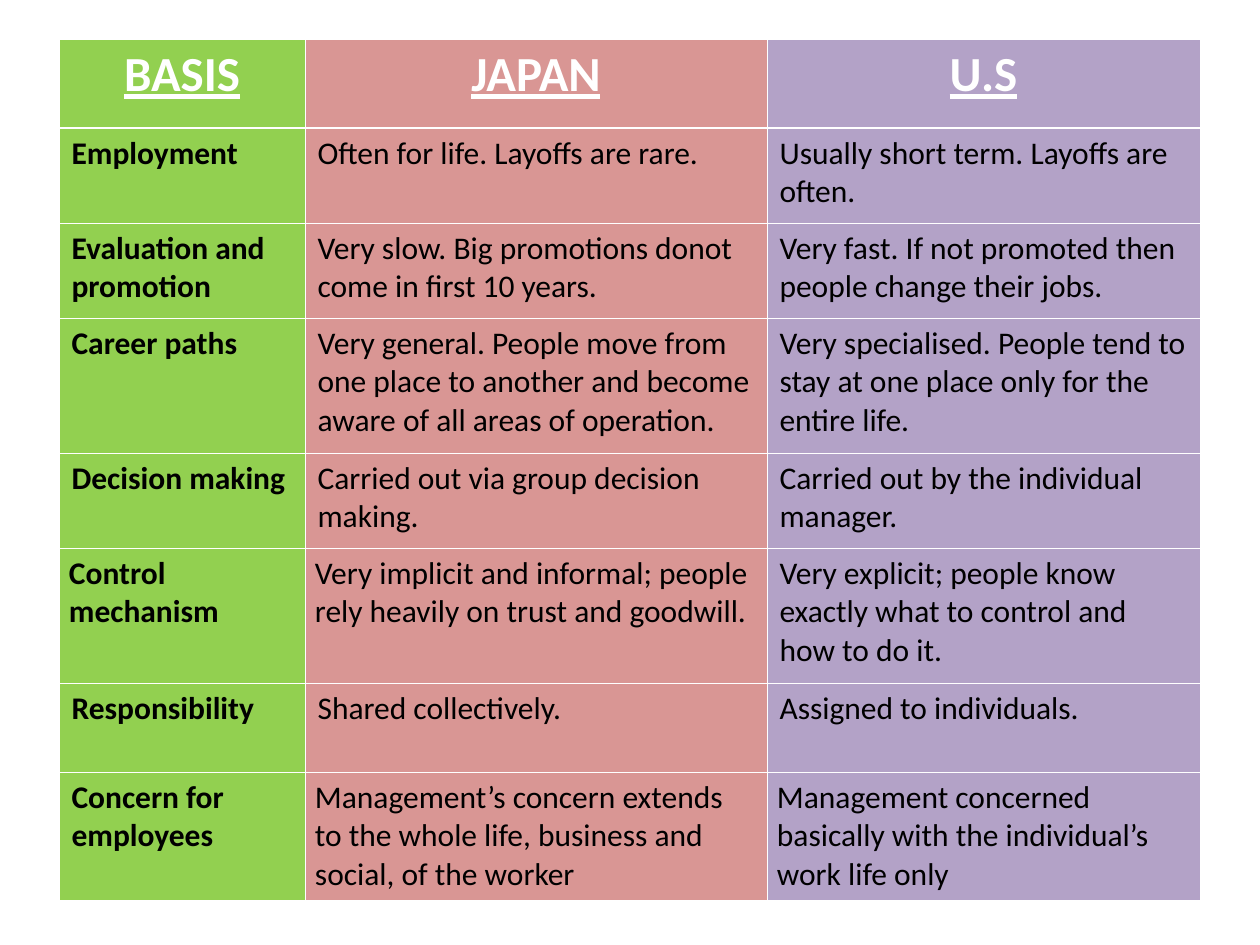
from lxml import etree
from pptx import Presentation
from pptx.dml.color import RGBColor
from pptx.enum.text import PP_ALIGN
from pptx.oxml.ns import qn
from pptx.util import Pt

EMU_PER_INCH = 914400
PX_PER_INCH = 126
BLANK_LAYOUT = 6
LEFT, CENTER = PP_ALIGN.LEFT, PP_ALIGN.CENTER

WHITE = RGBColor(0xFF, 0xFF, 0xFF)
BLACK = RGBColor(0x00, 0x00, 0x00)
GREEN = RGBColor(0x92, 0xD0, 0x50)
ROSE = RGBColor(0xD9, 0x96, 0x94)
LILAC = RGBColor(0xB3, 0xA2, 0xC7)

COLUMN_FILLS = [GREEN, ROSE, LILAC]
COLUMN_WIDTHS = [246, 462, 433]
ROW_HEIGHTS = [89, 95, 95, 135, 95, 135, 89, 122]
NARROW_CELLS = {(5, 0), (5, 1), (7, 1), (7, 2)}

ROWS = [
    ("BASIS", "JAPAN", "U.S"),
    ("Employment",
     "Often for life. Layoffs are rare.",
     "Usually short term. Layoffs are often."),
    ("Evaluation and promotion",
     "Very slow. Big promotions donot come in first 10 years.",
     "Very fast. If not promoted then people change their jobs."),
    ("Career paths",
     "Very general. People move from one place to another and become "
     "aware of all areas of operation.",
     "Very specialised. People tend to stay at one place only for the "
     "entire life."),
    ("Decision making",
     "Carried out via group decision making.",
     "Carried out by the individual manager."),
    ("Control mechanism",
     "Very implicit and informal; people rely heavily on trust and goodwill.",
     "Very explicit; people know exactly what to control and how to do it."),
    ("Responsibility", "Shared collectively.", "Assigned to individuals."),
    ("Concern for employees",
     "Management’s concern extends to the whole life, business and social, "
     "of the worker",
     "Management concerned basically with the individual’s work life only"),
]


def px(length):
    return round(length * EMU_PER_INCH / PX_PER_INCH)


def write_text(text_frame, text, *, font="Calibri", size=18, color=BLACK,
               bold=False, underline=False, align=LEFT):
    paragraph = text_frame.paragraphs[0]
    paragraph.alignment = align
    run = paragraph.add_run()
    run.text = text
    run.font.name = font
    run.font.size = Pt(size)
    run.font.color.rgb = color
    run.font.bold = bold
    run.font.underline = underline


class ComparisonSlide:
    """Holds the table style and the current slide."""

    thin, thick = 0.45, 1.47
    side_inset = 10
    header_format = dict(size=28, color=WHITE, bold=True, underline=True,
                         align=CENTER)

    def __init__(self, presentation):
        layout = presentation.slide_layouts[BLANK_LAYOUT]
        self.slide = presentation.slides.add_slide(layout)

    def border(self, cell, side, width):
        properties = cell._tc.get_or_add_tcPr()
        line = etree.SubElement(properties, qn(f"a:ln{side}"), w=str(Pt(width)))
        fill = etree.SubElement(line, qn("a:solidFill"))
        etree.SubElement(fill, qn("a:srgbClr"), val=str(WHITE))

    def cell(self, cell, text, row, column):
        # Borders come before the fill in the cell properties
        widths = {
            "L": self.thin,
            "R": self.thin,
            "T": self.thick if row == 1 else self.thin,
            "B": self.thick if row == 0 else self.thin,
        }
        for side, width in widths.items():
            self.border(cell, side, width)
        cell.fill.solid()
        cell.fill.fore_color.rgb = COLUMN_FILLS[column]
        if (row, column) in NARROW_CELLS:
            cell.margin_left = cell.margin_right = px(self.side_inset)
        text_format = self.header_format if row == 0 else dict(bold=column == 0)
        write_text(cell.text_frame, text, **text_format)

    def table(self, left, top, rows, column_widths, row_heights):
        table = self.slide.shapes.add_table(
            len(rows), len(column_widths), px(left), px(top),
            px(sum(column_widths)), px(sum(row_heights))).table
        table.horz_banding = False
        for column, width in zip(table.columns, column_widths):
            column.width = px(width)
        for row, height in zip(table.rows, row_heights):
            row.height = px(height)
        for row_index, texts in enumerate(rows):
            for column_index, text in enumerate(texts):
                self.cell(table.cell(row_index, column_index), text,
                          row_index, column_index)


def main():
    presentation = Presentation()
    presentation.slide_width = px(1260)
    presentation.slide_height = px(945)

    # Comparison of management in Japan and the U.S
    comparison = ComparisonSlide(presentation)
    comparison.table(59, 39, ROWS, COLUMN_WIDTHS, ROW_HEIGHTS)

    presentation.save("out.pptx")


if __name__ == "__main__":
    main()
